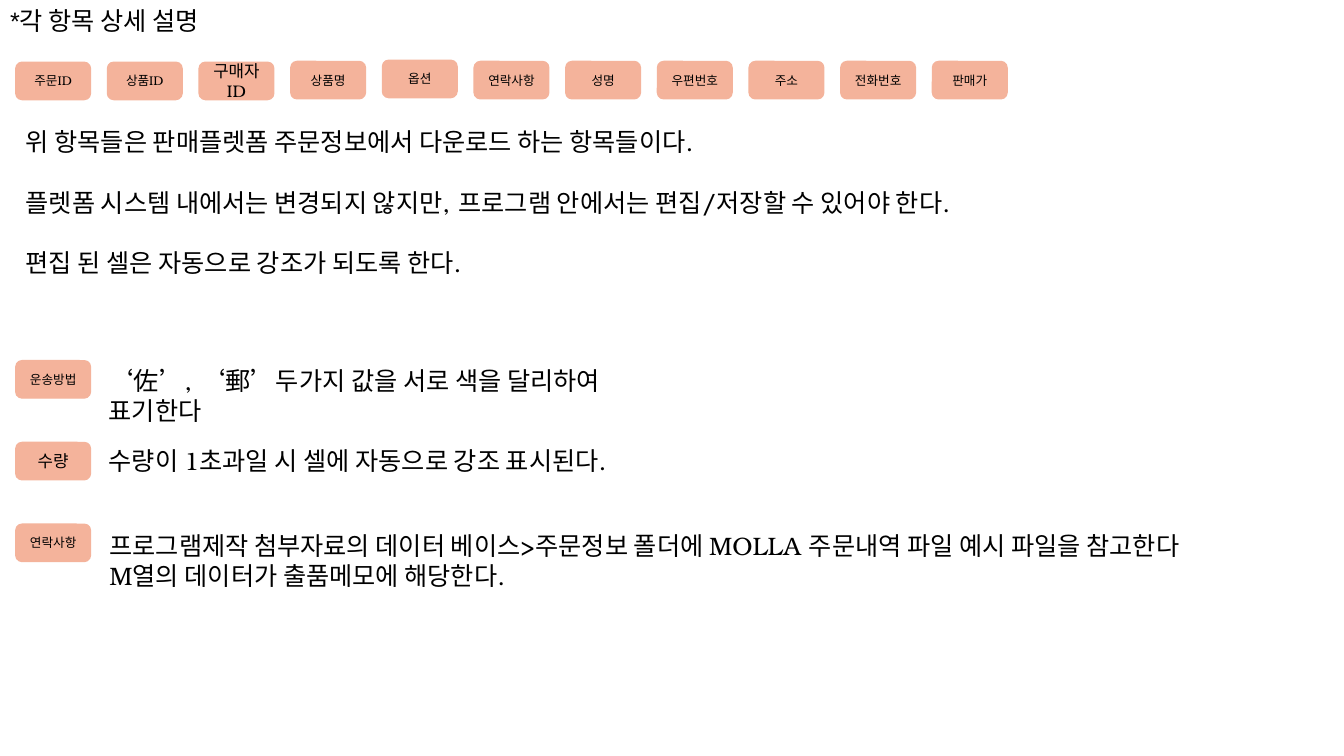
from dataclasses import dataclass

from pptx import Presentation
from pptx.dml.color import RGBColor
from pptx.enum.shapes import MSO_SHAPE
from pptx.enum.text import MSO_ANCHOR, MSO_AUTO_SIZE, PP_ALIGN
from pptx.util import Cm, Pt

ROUNDED = MSO_SHAPE.ROUNDED_RECTANGLE
TOP, MIDDLE = MSO_ANCHOR.TOP, MSO_ANCHOR.MIDDLE
LEFT, CENTER = PP_ALIGN.LEFT, PP_ALIGN.CENTER
GROW = MSO_AUTO_SIZE.SHAPE_TO_FIT_TEXT
TITLE_ONLY = 5


@dataclass(frozen=True)
class Theme:
    """Colours, fonts and type sizes of the slide."""

    ink: RGBColor = RGBColor(0x00, 0x00, 0x00)
    label: RGBColor = RGBColor(0xF4, 0xB3, 0x9B)
    title_font: str = "Arial"
    body_font: str = "TeX Gyre Bonum"
    body_size: int = 18
    label_size: int = 9
    large_label_size: int = 12


class SlideBuilder:
    """Adds themed elements to one slide."""

    def __init__(self, slide, theme):
        self.slide = slide
        self.theme = theme

    def place(self, shape, left, top, width, height):
        shape.left, shape.top = Cm(left), Cm(top)
        shape.width, shape.height = Cm(width), Cm(height)

    def add_text(self, paragraph, text, font_name, size, alignment=LEFT):
        paragraph.alignment = alignment
        run = paragraph.add_run()
        run.text = text
        run.font.name = font_name
        run.font.size = Pt(size)
        run.font.color.rgb = self.theme.ink

    def title(self, text, left, top, width, height):
        shape = self.slide.shapes.title
        self.place(shape, left, top, width, height)
        frame = shape.text_frame
        frame.word_wrap = False
        frame.auto_size = GROW
        frame.vertical_anchor = TOP
        self.add_text(frame.paragraphs[0], text, self.theme.title_font, self.theme.body_size)

    def label(self, text, left, top, size):
        shape = self.slide.shapes.add_shape(ROUNDED, Cm(left), Cm(top), Cm(1.88), Cm(0.94))
        shape.shadow.inherit = False
        shape.fill.solid()
        shape.fill.fore_color.rgb = self.theme.label
        shape.line.color.rgb = self.theme.label
        shape.line.width = Pt(1)
        frame = shape.text_frame
        frame.word_wrap = True
        frame.vertical_anchor = MIDDLE
        self.add_text(frame.paragraphs[0], text, self.theme.body_font, size, CENTER)

    def body(self, lines, left, top, width, height, gap=0, wrap=False):
        shape = self.slide.shapes.add_textbox(Cm(left), Cm(top), Cm(width), Cm(height))
        frame = shape.text_frame
        frame.word_wrap = wrap
        frame.auto_size = GROW
        for index, line in enumerate(lines):
            paragraph = frame.add_paragraph() if index else frame.paragraphs[0]
            paragraph.space_before = Pt(gap if index else 0)
            self.add_text(paragraph, line, self.theme.body_font, self.theme.body_size)


def main():
    presentation = Presentation()
    presentation.slide_width, presentation.slide_height = Cm(33.87), Cm(19.05)
    slide = presentation.slides.add_slide(presentation.slide_layouts[TITLE_ONLY])
    theme = Theme()
    builder = SlideBuilder(slide, theme)
    small, large = theme.label_size, theme.large_label_size
    margin = 0.4

    builder.title("*각 항목 상세 설명", 0, 0, 5.97, 1.02)

    order_fields = [
        ("주문ID", 1.57, small),
        ("상품ID", 1.57, small),
        ("구매자ID", 1.57, large),
        ("상품명", 1.55, small),
        ("옵션", 1.52, small),
        ("연락사항", 1.55, small),
        ("성명", 1.55, small),
        ("우편번호", 1.55, small),
        ("주소", 1.55, small),
        ("전화번호", 1.55, small),
        ("판매가", 1.55, small),
    ]
    for column, (name, top, size) in enumerate(order_fields):
        builder.label(name, margin + column * 2.31, top, size)

    builder.body(
        [
            "위 항목들은 판매플렛폼 주문정보에서 다운로드 하는 항목들이다.",
            "플렛폼 시스템 내에서는 변경되지 않지만, 프로그램 안에서는 편집/저장할 수 있어야 한다.",
            "편집 된 셀은 자동으로 강조가 되도록 한다.",
        ],
        margin, 3.07, 25.81, 4.11, gap=21.6,
    )

    detail_rows = [
        ("운송방법", small, ["‘佐’, ‘郵’두가지 값을 서로 색을 달리하여 표기한다"],
         (2.49, 9.07, 14.48, 1.02), False),
        ("수량", large, ["수량이 1초과일 시 셀에 자동으로 강조 표시된다."],
         (2.49, 11.1, 14.2, 1.02), False),
        ("연락사항", small,
         ["프로그램제작 첨부자료의 데이터 베이스>주문정보 폴더에 MOLLA 주문내역 파일 예시 파일을 참고한다",
          "M열의 데이터가 출품메모에 해당한다."],
         (2.51, 13.23, 31.06, 1.8), True),
    ]
    for row, (name, size, lines, box, wrap) in enumerate(detail_rows):
        builder.label(name, margin, 9.09 + row * 2.06, size)
        builder.body(lines, *box, wrap=wrap)

    presentation.save("out.pptx")


if __name__ == "__main__":
    main()
